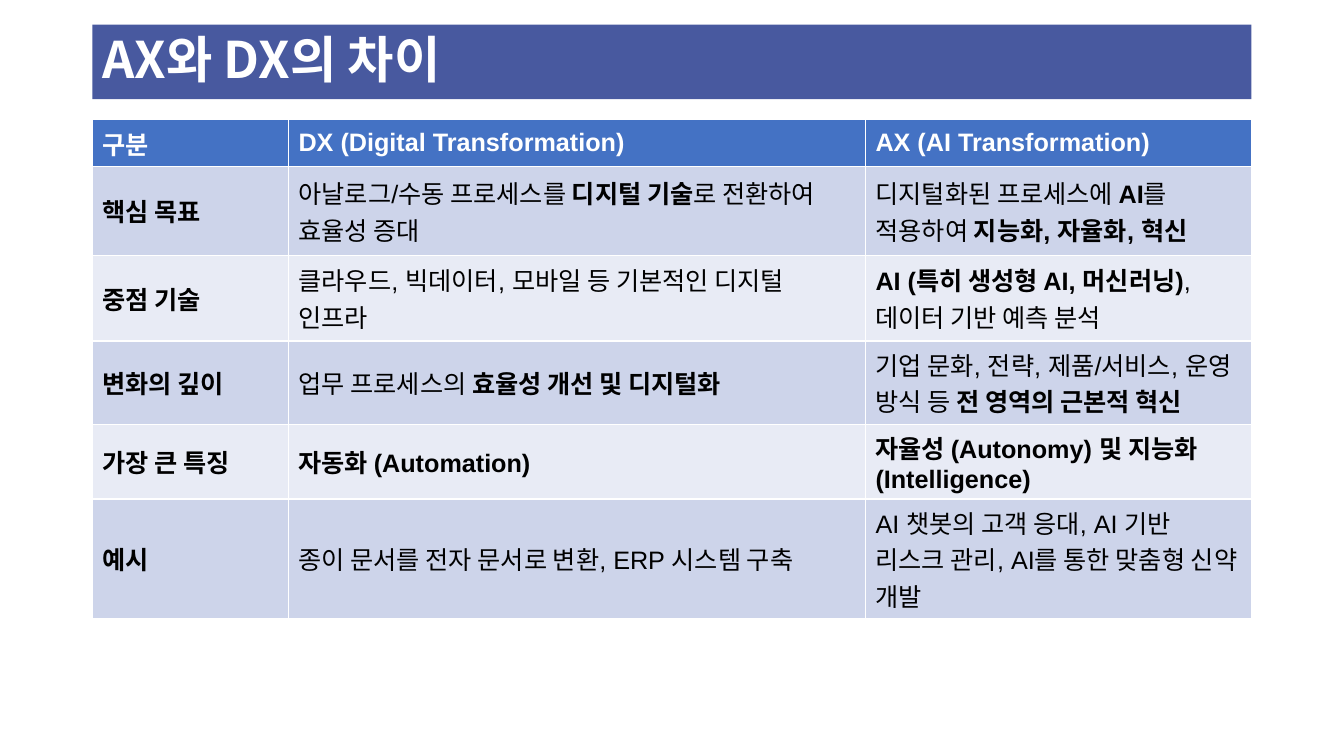
from dataclasses import dataclass

from lxml.etree import SubElement
from pptx import Presentation
from pptx.dml.color import RGBColor as Color
from pptx.enum.shapes import MSO_SHAPE as Shape
from pptx.enum.text import MSO_ANCHOR as Anchor, PP_ALIGN as Align
from pptx.oxml.ns import qn
from pptx.util import Cm, Pt


@dataclass(frozen=True)
class Theme:
    title_fill: Color = Color(0x48, 0x59, 0x9F)
    header_fill: Color = Color(0x44, 0x72, 0xC4)
    odd_fill: Color = Color(0xCD, 0xD4, 0xEA)
    even_fill: Color = Color(0xE8, 0xEB, 0xF5)
    light_text: Color = Color(0xFF, 0xFF, 0xFF)
    dark_text: Color = Color(0, 0, 0)
    title_size: Pt = Pt(36)
    table_size: Pt = Pt(18)
    latin_font: str = "Arial"
    korean_font: str = "Noto Sans CJK KR"


@dataclass(frozen=True)
class ComparisonRow:
    height: float  # centimetres
    label: str
    dx: str
    ax: str


THEME = Theme()
LEFT, WIDTH = Cm(2.33), Cm(29.21)
COLUMN_WIDTHS = (4.94, 14.54, 9.73)

# Text between double asterisks is bold
ROWS = (
    ComparisonRow(1.03, "**구분**", "**DX (Digital Transformation)**",
                  "**AX (AI Transformation)**"),
    ComparisonRow(2.24, "**핵심 목표**",
                  "아날로그/수동 프로세스를 **디지털 기술**로 전환하여 효율성 증대",
                  "디지털화된 프로세스에 **AI**를 적용하여 **지능화, 자율화, 혁신**"),
    ComparisonRow(2.16, "**중점 기술**",
                  "클라우드, 빅데이터, 모바일 등 기본적인 디지털 인프라",
                  "**AI (특히 생성형 AI, 머신러닝)**, 데이터 기반 예측 분석"),
    ComparisonRow(1.03, "**변화의 깊이**",
                  "업무 프로세스의 **효율성 개선 및 디지털화**",
                  "기업 문화, 전략, 제품/서비스, 운영 방식 등 **전 영역의 근본적 혁신**"),
    ComparisonRow(1.03, "**가장 큰 특징**", "**자동화 (Automation)**",
                  "**자율성 (Autonomy) 및 지능화 (Intelligence)**"),
    ComparisonRow(1.03, "**예시**",
                  "종이 문서를 전자 문서로 변환, ERP 시스템 구축",
                  "AI 챗봇의 고객 응대, AI 기반 리스크 관리, AI를 통한 맞춤형 신약 개발"),
)


def write_text(paragraph, text: str, size: Pt, color: Color, latin: str) -> None:
    """Fill a paragraph, turning double asterisks into bold runs."""
    spans = [(part, index % 2 == 1)
             for index, part in enumerate(text.split("**")) if part]
    font = paragraph.font
    font.size, font.name = size, latin
    font.color.rgb = color
    properties = paragraph._p.pPr.find(qn("a:defRPr"))
    SubElement(properties, qn("a:ea"), typeface=THEME.korean_font)
    if len(spans) == 1:
        font.bold = spans[0][1]
    for part, bold in spans:
        run = paragraph.add_run()
        run.text = part
        if len(spans) > 1:
            run.font.bold = bold


def add_title(slide, text: str) -> None:
    bar = slide.shapes.add_shape(Shape.RECTANGLE, LEFT, Cm(0.62), WIDTH, Cm(1.88))
    bar.shadow.inherit = False
    bar.fill.solid()
    bar.fill.fore_color.rgb = THEME.title_fill
    bar.line.fill.background()
    bar.text_frame.word_wrap = True
    bar.text_frame.vertical_anchor = Anchor.MIDDLE
    paragraph = bar.text_frame.paragraphs[0]
    paragraph.alignment = Align.LEFT
    paragraph.line_spacing = 0.9
    write_text(paragraph, text, THEME.title_size, THEME.light_text, THEME.korean_font)


def row_colors(index: int) -> tuple[Color, Color]:
    """Return the fill and text colours of a table row."""
    if index == 0:
        return THEME.header_fill, THEME.light_text
    return (THEME.odd_fill if index % 2 else THEME.even_fill), THEME.dark_text


def add_comparison(slide, rows: tuple[ComparisonRow, ...]) -> None:
    height = Cm(sum(row.height for row in rows))
    table = slide.shapes.add_table(
        len(rows), len(COLUMN_WIDTHS), LEFT, Cm(3.02), WIDTH, height).table
    for column, width in zip(table.columns, COLUMN_WIDTHS):
        column.width = Cm(width)
    for index, row in enumerate(rows):
        table.rows[index].height = Cm(row.height)
        fill, text_color = row_colors(index)
        for cell, text in zip(table.rows[index].cells, (row.label, row.dx, row.ax)):
            cell.fill.solid()
            cell.fill.fore_color.rgb = fill
            cell.vertical_anchor = Anchor.MIDDLE
            write_text(cell.text_frame.paragraphs[0], text, THEME.table_size,
                       text_color, THEME.latin_font)


def main() -> None:
    presentation = Presentation()
    presentation.slide_width, presentation.slide_height = Cm(33.87), Cm(19.05)
    slide = presentation.slides.add_slide(presentation.slide_layouts[6])
    # Title bar
    add_title(slide, "**AX와 DX의 차이**")
    # Comparison table
    add_comparison(slide, ROWS)
    presentation.save("out.pptx")


if __name__ == "__main__":
    main()
